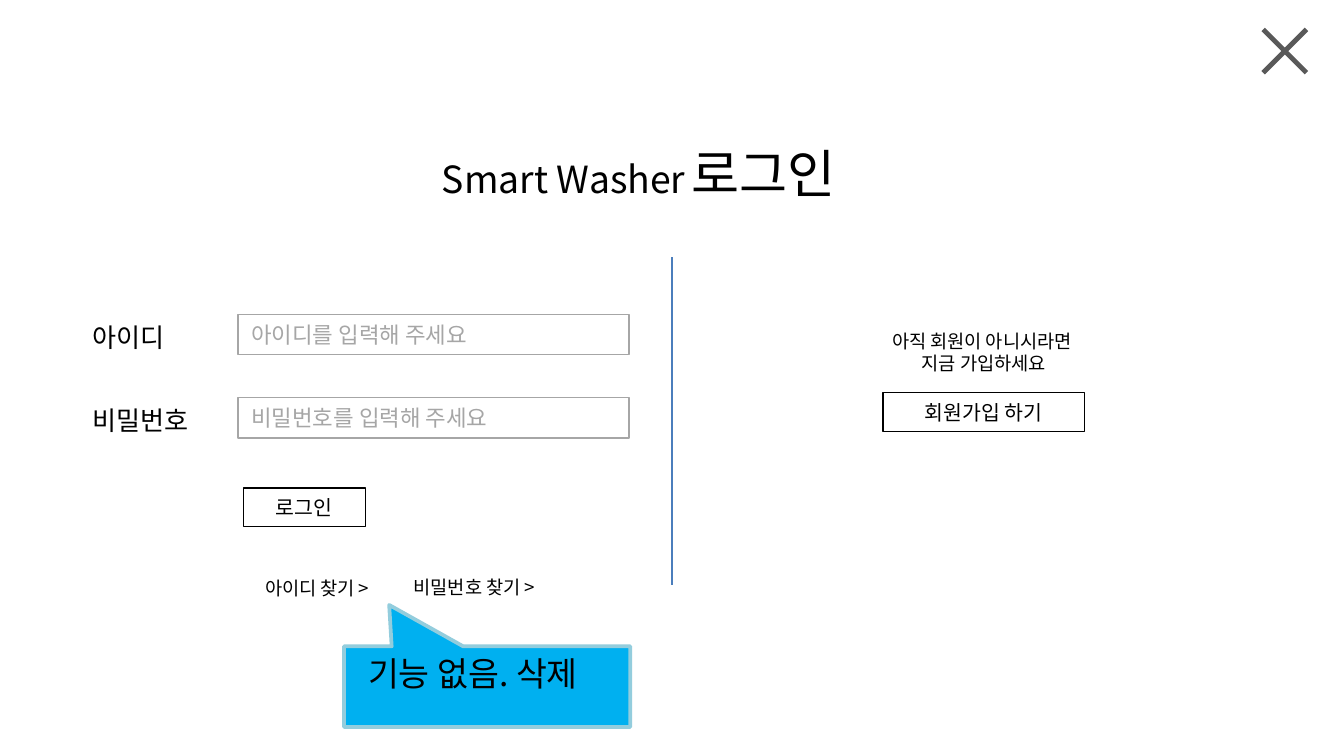
from dataclasses import dataclass

from lxml.etree import SubElement
from pptx import Presentation
from pptx.dml.color import RGBColor
from pptx.enum.shapes import MSO_CONNECTOR, MSO_SHAPE
from pptx.enum.text import MSO_ANCHOR, MSO_AUTO_SIZE, PP_ALIGN
from pptx.oxml.ns import qn
from pptx.shapes.autoshape import Shape
from pptx.util import Pt

PX = 4572  # 200 px to the inch
FONT = "Noto Sans CJK KR"
BLACK, GREY = "000000", "A6A6A6"


@dataclass
class Box:
    x: int
    y: int
    w: int
    h: int

    def emu(self) -> list[int]:
        return [n * PX for n in (self.x, self.y, self.w, self.h)]


@dataclass
class Field:
    label: str
    hint: str
    y: int


@dataclass
class Label:
    text: str
    box: Box
    size: int
    mid: bool = False


@dataclass
class Button:
    text: str
    box: Box


FIELDS = [
    Field("아이디", "아이디를 입력해 주세요", 468),
    Field("비밀번호", "비밀번호를 입력해 주세요", 592),
]
BUTTONS = [
    Button("로그인", Box(362, 726, 182, 58)),
    Button("회원가입 하기", Box(1314, 584, 300, 58)),
]
LABELS = [
    Label("Smart Washer", Box(638, 222, 488, 88), 20),
    Label("로그인", Box(1010, 200, 354, 114), 28),
    Label("아직 회원이 아니시라면 \n지금 가입하세요", Box(1236, 480, 456, 88), 10, True),
    Label("아이디 찾기 >", Box(354, 848, 236, 54), 10, True),
    Label("비밀번호 찾기 >", Box(560, 846, 292, 54), 10, True),
]

deck = Presentation()
deck.slide_width, deck.slide_height = 2000 * PX, 1125 * PX
slide = deck.slides.add_slide(deck.slide_layouts[6])


def paint(code: str) -> RGBColor:
    return RGBColor.from_string(code)


def write(shape: Shape, text: str, *, size: int, color: str = BLACK,
          mid: bool = False) -> None:
    """Fill a shape with text; mid centres it both ways."""
    frame = shape.text_frame
    frame.word_wrap = True
    frame.auto_size = MSO_AUTO_SIZE.SHAPE_TO_FIT_TEXT
    frame.vertical_anchor = MSO_ANCHOR.MIDDLE if mid else MSO_ANCHOR.TOP
    frame.text = text
    for para in frame.paragraphs:
        para.alignment = PP_ALIGN.CENTER if mid else PP_ALIGN.LEFT
        for run in para.runs:
            font = run.font
            font.size, font.name = Pt(size), FONT
            font.color.rgb = paint(color)
            # Hangul takes its font from the East Asian slot
            SubElement(run._r.get_or_add_rPr(), qn("a:ea"), typeface=FONT)


def label(item: Label) -> None:
    shape = slide.shapes.add_textbox(*item.box.emu())
    write(shape, item.text, size=item.size, mid=item.mid)


def draw(kind: MSO_SHAPE, box: Box, *, fill: str = "", line: str = "",
         width: float = 0.75, adjust: tuple[float, ...] = ()) -> Shape:
    shape = slide.shapes.add_shape(kind, *box.emu())
    shape.shadow.inherit = False
    for i, value in enumerate(adjust):
        shape.adjustments[i] = value
    if fill:
        shape.fill.solid()
        shape.fill.fore_color.rgb = paint(fill)
    else:
        shape.fill.background()
    if line:
        shape.line.color.rgb = paint(line)
        shape.line.width = Pt(width)
    else:
        shape.line.fill.background()
    return shape


def divide(x: int, top: int, base: int, color: str) -> None:
    """Draw the upright rule between the two halves."""
    rule = slide.shapes.add_connector(
        MSO_CONNECTOR.STRAIGHT, x * PX, base * PX, x * PX, top * PX)
    rule.line.color.rgb = paint(color)
    rule.line.width = Pt(0.75)
    SubElement(rule._element.spPr, qn("a:effectLst"))


for field in FIELDS:
    entry = draw(MSO_SHAPE.RECTANGLE, Box(354, field.y, 582, 60), line=GREY)
    write(entry, field.hint, size=12, color=GREY)

for button in BUTTONS:
    shape = draw(MSO_SHAPE.RECTANGLE, button.box, line=BLACK)
    write(shape, button.text, size=11, mid=True)

for field in FIELDS:
    label(Label(field.label, Box(118, field.y, 204, 68), 14))

divide(1000, 382, 870, "4B7EBC")
for item in LABELS:
    label(item)

draw(MSO_SHAPE.MATH_MULTIPLY, Box(1850, 14, 124, 124), fill="595959", adjust=(0.058,))
draw(MSO_SHAPE.RECTANGULAR_CALLOUT, Box(512, 962, 426, 120), fill="00B0F0",
     line="93CDDD", width=2, adjust=(-0.342, -1.014))
label(Label("기능 없음. 삭제", Box(528, 962, 552, 80), 18))

deck.save("out.pptx")
